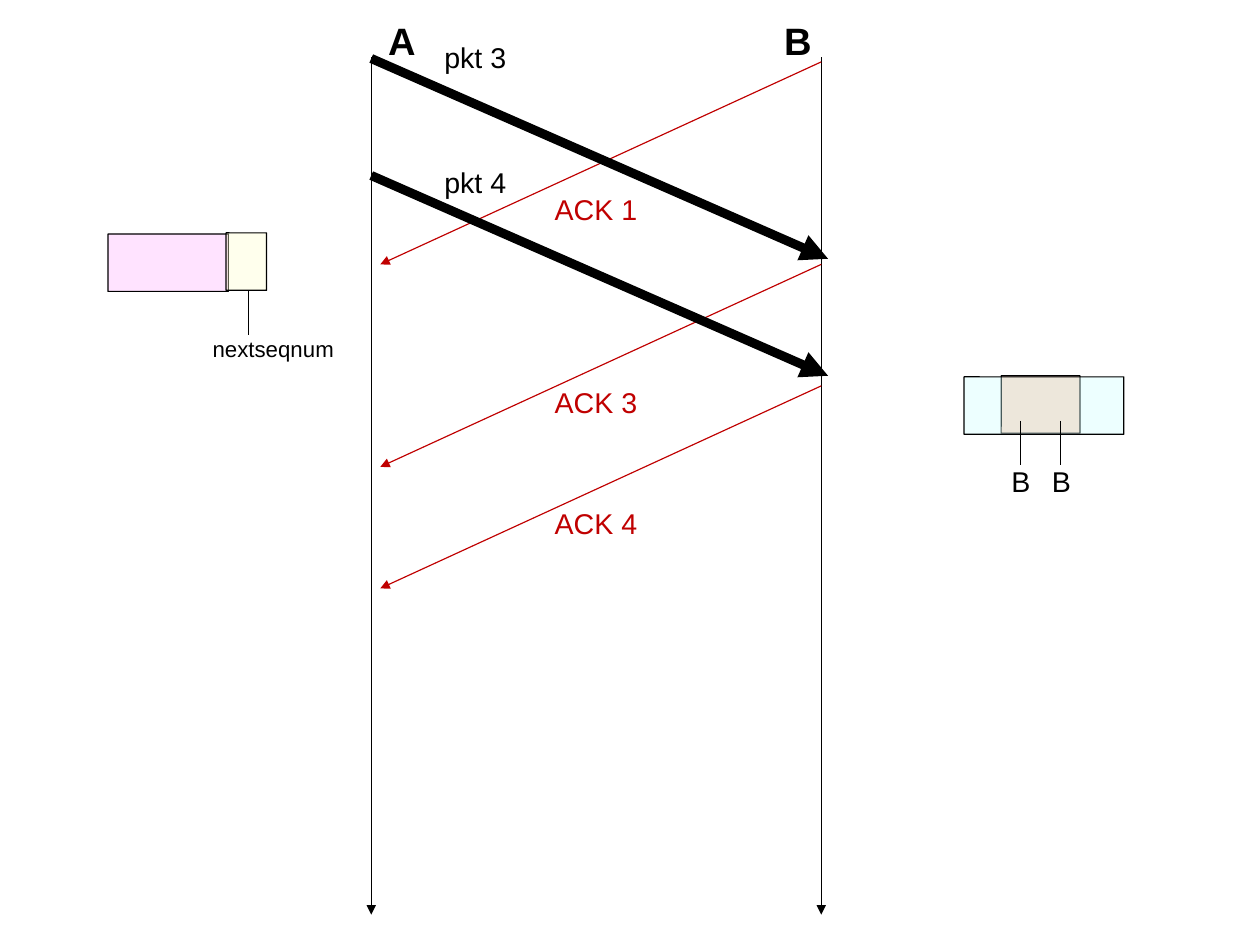
from lxml import etree
from pptx import Presentation
from pptx.dml.color import RGBColor
from pptx.enum.shapes import MSO_CONNECTOR, MSO_SHAPE
from pptx.oxml.ns import qn
from pptx.util import Emu, Pt

STRAIGHT = MSO_CONNECTOR.STRAIGHT
ROUNDED = MSO_SHAPE.ROUNDED_RECTANGLE
PX = 9000
BLACK = "000000"
RED = "C00000"


def px(length):
    return Emu(length * PX)


def rgb(code):
    return RGBColor.from_string(code)


def write(frame, text, size=18, color=BLACK, bold=False, font="Arial", spacing=0.93):
    paragraph = frame.paragraphs[0]
    paragraph.line_spacing = spacing
    run = paragraph.add_run()
    run.text = text
    run.font.name = font
    run.font.size = Pt(size)
    run.font.bold = bold
    run.font.color.rgb = rgb(color)


class Diagram:
    thin = 0.75
    opacity = 35

    def __init__(self, slide):
        self.shapes = slide.shapes

    def line(self, x1, y1, x2, y2, color=BLACK, width=thin, arrow=False):
        connector = self.shapes.add_connector(STRAIGHT, px(x1), px(y1), px(x2), px(y2))
        connector.line.color.rgb = rgb(color)
        connector.line.width = Pt(width)
        if arrow:
            outline = connector.line._get_or_add_ln()
            etree.SubElement(outline, qn("a:tailEnd"), type="triangle")
        etree.SubElement(connector._element.spPr, qn("a:effectLst"))

    def window(self, x, y, width, height, color):
        box = self.shapes.add_shape(ROUNDED, px(x), px(y), px(width), px(height))
        box.adjustments[0] = 0.003
        box.shadow.inherit = False
        box.fill.solid()
        box.fill.fore_color.rgb = rgb(color)
        tint = box._element.spPr.find(qn("a:solidFill"))[0]
        etree.SubElement(tint, qn("a:alpha"), val=str(self.opacity * 1000))
        box.line.color.rgb = rgb(BLACK)
        box.line.width = Pt(self.thin)

    def label(self, text, x, y, width, height=39, **style):
        frame = self.shapes.add_textbox(px(x), px(y), px(width), px(height)).text_frame
        frame.word_wrap = True
        frame.margin_left, frame.margin_right = px(10), px(0)
        frame.margin_top, frame.margin_bottom = px(7), px(5)
        write(frame, text, **style)

    def pointer(self, text, x, y, label_x, width, **style):
        self.line(x, y, x, y + 39)
        self.label(text, label_x, y + 34, width, **style)


def main():
    deck = Presentation()
    deck.slide_width, deck.slide_height = px(1120), px(840)
    diagram = Diagram(deck.slides.add_slide(deck.slide_layouts[6]))
    sender, receiver = 330, 730

    for host, timeline, name_x in (("A", sender, 335), ("B", receiver, 687)):
        diagram.line(timeline, 51, timeline, 813, arrow=True)
        diagram.label(host, name_x, 12, 45, 49, size=24, bold=True)

    for ack, sent, label_y in ((1, 55, 166), (3, 235, 338), (4, 343, 445)):
        diagram.line(receiver, sent, sender + 8, sent + 180, RED, arrow=True)
        diagram.label(f"ACK {ack}", 483, label_y, 93, color=RED)

    for packet, sent, label_y in ((3, 52, 31), (4, 156, 142)):
        diagram.line(sender, sent, sender + 406, sent + 178, width=5.75, arrow=True)
        diagram.label(f"pkt {packet}", 385, label_y, 68)

    diagram.window(890, 334, 70, 51, "FF9966")
    diagram.window(857, 335, 142, 51, "CCFFFF")
    for bound in (907, 943):
        diagram.pointer("B", bound, 374, bound - 18, 37)

    diagram.window(96, 208, 107, 51, "FFAFFF")
    diagram.window(201, 207, 36, 51, "FFFFCC")
    diagram.pointer("nextseqnum", 221, 259, 179, 144, size=14)

    deck.save("out.pptx")


if __name__ == "__main__":
    main()
